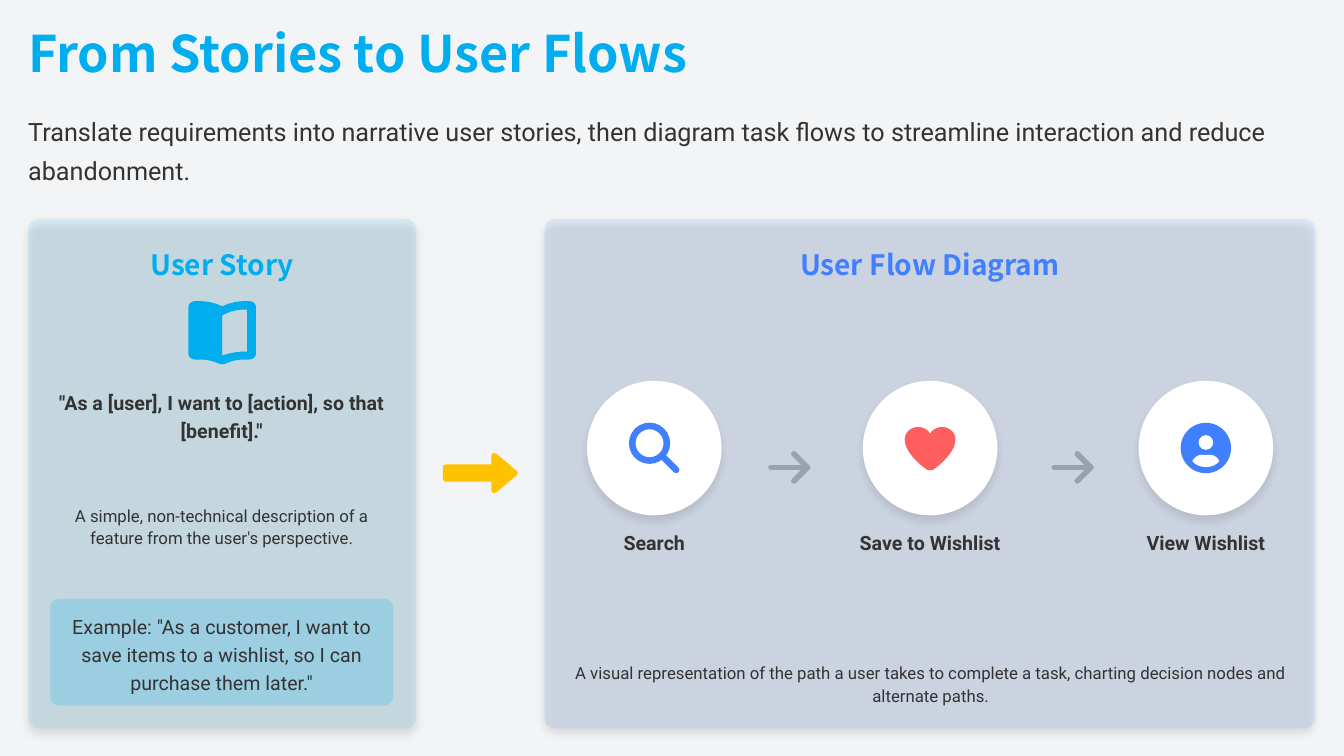
from dataclasses import dataclass

import pptx
import pptx.dml.color
import pptx.enum.dml
import pptx.enum.shapes
import pptx.enum.text
import pptx.oxml
import pptx.oxml.ns
import pptx.util

Cm = pptx.util.Cm
RGBColor = pptx.dml.color.RGBColor
Shape = pptx.enum.shapes.MSO_SHAPE
Align = pptx.enum.text.PP_ALIGN
Anchor = pptx.enum.text.MSO_ANCHOR

BACKGROUND = RGBColor(0xF3, 0xF4, 0xF6)
CYAN = RGBColor(0x00, 0xAE, 0xEF)
BLUE = RGBColor(0x40, 0x80, 0xFF)
YELLOW = RGBColor(0xFF, 0xC2, 0x00)
RED = RGBColor(0xFF, 0x5E, 0x5E)
GRAY = RGBColor(0x99, 0xA1, 0xAF)
DARK = RGBColor(0x33, 0x33, 0x33)
WHITE = RGBColor(0xFF, 0xFF, 0xFF)
HEADING_FONT = "Noto Sans CJK SC"
BODY_FONT = "Roboto"

Point = tuple[float, float]
Segment = tuple[Point, ...]

HEART_HALF = [((0, -0.36),), ((0.03, -0.41),),
              ((0.1, -0.48), (0.2, -0.53), (0.3, -0.53)),
              ((0.48, -0.53), (0.64, -0.4), (0.64, -0.21)),
              ((0.64, 0.08), (0.28, 0.41), (0.1, 0.53)),
              ((0.07, 0.56), (0.03, 0.56), (0, 0.56))]
SHOULDERS_HALF = [((0, 0.17),), ((0.08, 0.17),),
                  ((0.2, 0.17), (0.29, 0.23), (0.34, 0.33)),
                  ((0.26, 0.43), (0.13, 0.48), (0, 0.48))]
COVER_HALF = [((0, -0.66),), ((0.09, -0.7),),
              ((0.25, -0.76), (0.4, -0.79), (0.57, -0.79)), ((0.68, -0.79),),
              ((0.77, -0.79), (0.85, -0.73), (0.85, -0.64)), ((0.85, 0.53),),
              ((0.85, 0.62), (0.77, 0.68), (0.68, 0.68)), ((0.57, 0.68),),
              ((0.4, 0.68), (0.25, 0.71), (0.09, 0.78)),
              ((0.05, 0.8), (0.03, 0.8), (0, 0.8))]
PAGE = [((0, -0.43),), ((0, 0.58),), ((0.18, 0.52), (0.38, 0.48), (0.57, 0.48)),
        ((0.63, 0.48),), ((0.63, -0.58),), ((0.57, -0.58),),
        ((0.38, -0.58), (0.18, -0.53), (0, -0.43))]


@dataclass(frozen=True)
class Box:
    left: float
    top: float
    width: float
    height: float

    def lengths(self) -> list:
        return [Cm(value) for value in (self.left, self.top, self.width, self.height)]


@dataclass(frozen=True)
class Panel:
    heading: str
    box: Box
    color: RGBColor


@dataclass(frozen=True)
class Step:
    label: str
    draw_icon: object


PANELS = [Panel("User Story", Box(0.71, 5.51, 9.78, 12.85), CYAN),
          Panel("User Flow Diagram", Box(13.72, 5.51, 19.43, 12.85), BLUE)]
CIRCLE_SIZE = 3.39
FIRST_STEP_X, STEP_GAP, STEP_Y = 16.49, 6.95, 11.29


def write_text(shape, text: str, *, size: float, color: RGBColor = DARK, bold: bool = False,
               font: str = BODY_FONT, align=Align.CENTER, spacing: float = 1.2, margin: float = 0):
    frame = shape.text_frame
    frame.word_wrap = True
    frame.auto_size = pptx.enum.text.MSO_AUTO_SIZE.NONE
    frame.vertical_anchor = Anchor.MIDDLE
    frame.margin_left = frame.margin_right = frame.margin_top = frame.margin_bottom = Cm(margin)
    frame.text = text
    paragraph = frame.paragraphs[0]
    if shape.is_placeholder:
        properties = paragraph._p.get_or_add_pPr()
        properties.set("marL", "0")
        properties.set("indent", "0")
        pptx.oxml.ns.qn("a:buNone")
        properties.append(pptx.oxml.parse_xml(f'<a:buNone {pptx.oxml.ns.nsdecls("a")}/>'))
    paragraph.alignment = align
    paragraph.line_spacing = spacing
    paragraph.space_before = pptx.util.Pt(0)
    run_font = paragraph.runs[0].font
    run_font.name, run_font.size, run_font.bold = font, pptx.util.Pt(size), bold
    run_font.color.rgb = color


def add_text(slide, box: Box, text: str, **text_format):
    write_text(slide.shapes.add_textbox(*box.lengths()), text, **text_format)


def paint(shape, color: RGBColor, opacity: int = 100, shadow: bool = False):
    shape.shadow.inherit = False
    shape.fill.solid()
    shape.fill.fore_color.rgb = color
    shape.line.fill.background()
    namespace = pptx.oxml.ns.nsdecls("a")
    if opacity < 100:
        shape._element.spPr.find(".//" + pptx.oxml.ns.qn("a:srgbClr")).append(
            pptx.oxml.parse_xml(f'<a:alpha {namespace} val="{opacity * 1000}"/>'))
    if shadow:
        shape._element.spPr.find(pptx.oxml.ns.qn("a:effectLst")).append(pptx.oxml.parse_xml(
            f'<a:outerShdw {namespace} blurRad="76200" dist="50800" dir="5400000" rotWithShape="0">'
            '<a:srgbClr val="000000"><a:alpha val="10000"/></a:srgbClr></a:outerShdw>'))


def add_preset(slide, kind, box: Box, color: RGBColor, opacity: int = 100, shadow: bool = False):
    shape = slide.shapes.add_shape(kind, *box.lengths())
    paint(shape, color, opacity, shadow)
    return shape


def add_rounded(slide, box: Box, radius: float, color: RGBColor, opacity: int, shadow: bool = False):
    shape = add_preset(slide, Shape.ROUNDED_RECTANGLE, box, color, opacity, shadow)
    shape.adjustments[0] = radius / min(box.width, box.height)
    return shape


def add_disc(slide, x: float, y: float, size: float, color: RGBColor, shadow: bool = False):
    add_preset(slide, Shape.OVAL, Box(x - size / 2, y - size / 2, size, size), color, shadow=shadow)


def round_line(shape, color: RGBColor, width: float):
    shape.line.color.rgb = color
    shape.line.width = pptx.util.Pt(width)
    line = shape.line._get_or_add_ln()
    line.set("cap", "rnd")
    line.append(pptx.oxml.parse_xml(f'<a:round {pptx.oxml.ns.nsdecls("a")}/>'))


def flatten(segments: list[Segment], pieces: int = 10) -> list[Point]:
    points = [segments[0][0]]
    for segment in segments[1:]:
        if len(segment) == 1:
            points.append(segment[0])
            continue
        controls = (points[-1], *segment)
        for index in range(1, pieces + 1):
            t = index / pieces
            weights = ((1 - t) ** 3, 3 * t * (1 - t) ** 2, 3 * t * t * (1 - t), t ** 3)
            points.append(tuple(sum(w * c[axis] for w, c in zip(weights, controls))
                                for axis in (0, 1)))
    return points


def mirrored(half: list[Segment]) -> list[Point]:
    points = flatten(half)
    return points + [(-x, y) for x, y in reversed(points[1:-1])]


def add_outline(slide, x: float, y: float, contours: list[list[Point]], close: bool = True):
    placed = [[(Cm(x + dx), Cm(y + dy)) for dx, dy in contour] for contour in contours]
    builder = slide.shapes.build_freeform(*placed[0][0])
    for index, contour in enumerate(placed):
        if index:
            builder.move_to(*contour[0])
        builder.add_line_segments(contour[1:], close=close)
    return builder.convert_to_shape()


def draw_magnifier(slide, x: float, y: float):
    ring = add_preset(slide, Shape.DONUT, Box(x - 0.64, y - 0.64, 1.04, 1.04), BLUE)
    ring.adjustments[0] = 0.16
    handle = slide.shapes.add_connector(pptx.enum.shapes.MSO_CONNECTOR.STRAIGHT,
                                        Cm(x + 0.25), Cm(y + 0.25), Cm(x + 0.55), Cm(y + 0.55))
    round_line(handle, BLUE, 4.7)
    handle._element.spPr.append(
        pptx.oxml.parse_xml(f'<a:effectLst {pptx.oxml.ns.nsdecls("a")}/>'))


def draw_heart(slide, x: float, y: float):
    paint(add_outline(slide, x, y, [mirrored(HEART_HALF)]), RED)


def draw_person(slide, x: float, y: float):
    add_disc(slide, x, y, 1.27, BLUE)
    add_disc(slide, x, y - 0.14, 0.37, WHITE)
    paint(add_outline(slide, x, y, [mirrored(SHOULDERS_HALF)]), WHITE)


def draw_step_arrow(slide, x: float, y: float):
    arrow = add_outline(slide, x, y, [[(0, 0), (0.92, 0)],
                                      [(0.58, -0.34), (0.92, 0), (0.58, 0.34)]], close=False)
    arrow.shadow.inherit = False
    arrow.fill.background()
    round_line(arrow, GRAY, 4)


STEPS = [Step("Search", draw_magnifier), Step("Save to Wishlist", draw_heart),
         Step("View Wishlist", draw_person)]


def main():
    presentation = pptx.Presentation()
    presentation.slide_width, presentation.slide_height = Cm(33.87), Cm(19.05)
    slide = presentation.slides.add_slide(presentation.slide_layouts[1])
    slide.background.fill.solid()
    slide.background.fill.fore_color.rgb = BACKGROUND

    title, body = slide.shapes.title, slide.placeholders[1]
    for placeholder, box in ((title, Box(0.71, 0.71, 32.46, 1.42)), (body, Box(0.71, 2.69, 32.46, 1.98))):
        placeholder.left, placeholder.top, placeholder.width, placeholder.height = box.lengths()
    write_text(title, "From Stories to User Flows", size=36, color=CYAN, bold=True,
               font=HEADING_FONT, align=Align.LEFT, spacing=0.9)
    write_text(body, "Translate requirements into narrative user stories, then diagram task flows "
               "to streamline interaction and reduce abandonment.",
               size=18, align=Align.LEFT, spacing=1.3)

    for panel in PANELS:
        add_rounded(slide, panel.box, 0.28, panel.color, 10, shadow=True)
        add_text(slide, Box(panel.box.left, 6.07, panel.box.width, 0.99), panel.heading,
                 size=20, color=panel.color, bold=True, font=HEADING_FONT)

    paint(add_outline(slide, 5.6, 8.38, [mirrored(COVER_HALF), flatten(PAGE)]), CYAN)
    add_text(slide, Box(1.27, 9.73, 8.64, 1.42),
             '"As a [user], I want to [action], so that [benefit]."', size=14, bold=True)
    add_text(slide, Box(1.27, 11.71, 8.64, 3.1), "A simple, non-technical description of a "
             "feature from the user's perspective.", size=12, spacing=1.1)
    example = add_rounded(slide, Box(1.27, 15.09, 8.64, 2.69), 0.21, CYAN, 20)
    write_text(example, 'Example: "As a customer, I want to save items to a wishlist, '
               'so I can purchase them later."', size=14, margin=0.28)

    panel_arrow = add_preset(slide, Shape.RIGHT_ARROW, Box(11.23, 11.48, 1.75, 0.88), YELLOW)
    panel_arrow.adjustments[0], panel_arrow.adjustments[1] = 0.33, 0.6
    round_line(panel_arrow, YELLOW, 4)

    for index, step in enumerate(STEPS):
        x = FIRST_STEP_X + index * STEP_GAP
        add_disc(slide, x, STEP_Y, CIRCLE_SIZE, WHITE, shadow=True)
        step.draw_icon(slide, x, STEP_Y)
        add_text(slide, Box(x - 2.3, 13.26, 4.6, 0.71), step.label, size=14, bold=True)
    for x in (19.43, 26.57):
        draw_step_arrow(slide, x, 11.78)
    add_text(slide, Box(14.3, 16.66, 18.31, 1.12), "A visual representation of the path a user takes "
             "to complete a task, charting decision nodes and alternate paths.", size=12, spacing=1.1)

    presentation.save("out.pptx")


if __name__ == "__main__":
    main()
